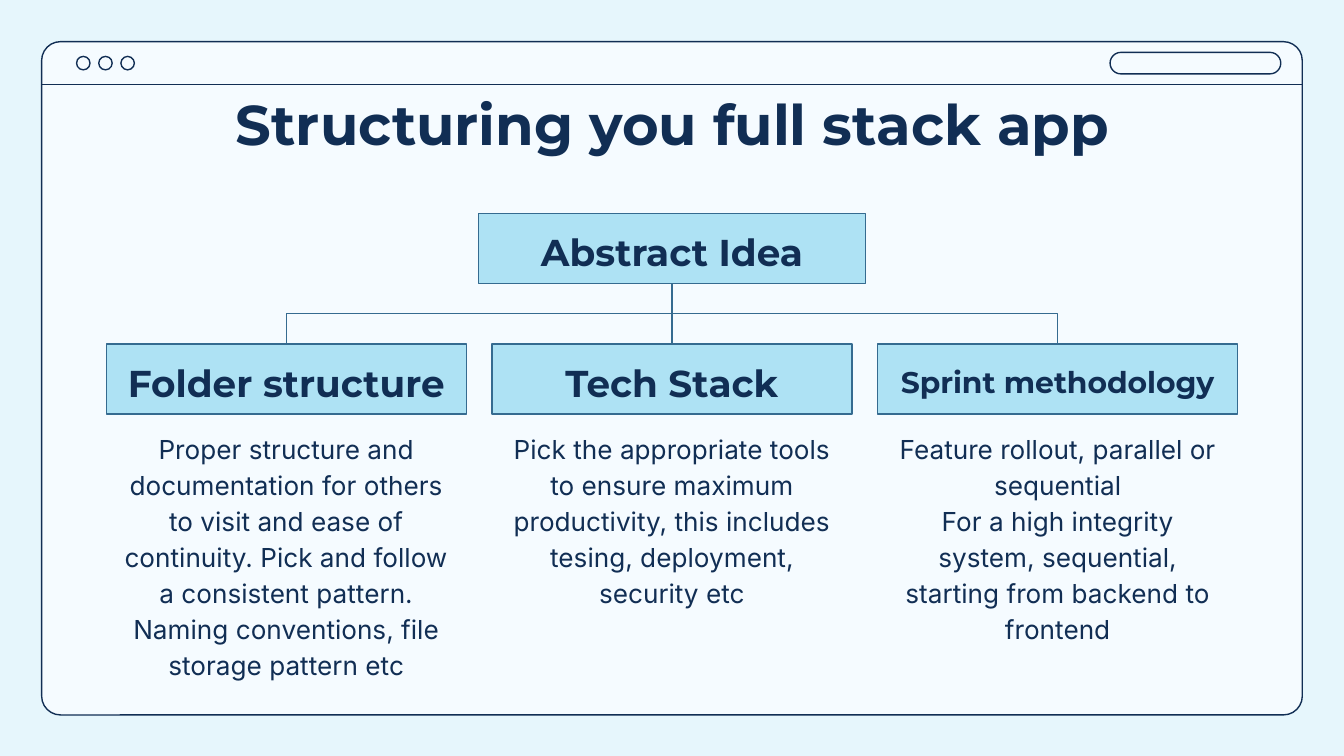
from dataclasses import dataclass
from lxml import etree
from pptx import Presentation
from pptx.dml.color import RGBColor
from pptx.enum.shapes import MSO_CONNECTOR as CONN, MSO_SHAPE as SHAPE
from pptx.enum.text import MSO_ANCHOR as ANCHOR, PP_ALIGN as ALIGN
from pptx.oxml.ns import qn
from pptx.util import Inches, Pt

NAVY = RGBColor(0x11, 0x2E, 0x54)
STEEL = RGBColor(0x35, 0x6B, 0x90)
SKY = RGBColor(0xAE, 0xE2, 0xF4)
PAPER = RGBColor(0xF5, 0xFB, 0xFF)
BACKDROP = RGBColor(0xE6, 0xF6, 0xFC)

CENTER = 5
COLUMN_W, COLUMN_STEP = 2.68, 2.87
ROOT_W, BOX_H = 2.88, 0.52
ROOT_TOP, CHILD_TOP, BODY_TOP = 1.59, 2.56, 3.09
COLUMNS = [
    ("Folder structure", 20, 2.16,
     ["Proper structure and documentation for others to visit and ease of continuity. "
      "Pick and follow a consistent pattern.",
      "Naming conventions, file storage pattern etc"]),
    ("Tech Stack", 20, 1.97,
     ["Pick the appropriate tools to ensure maximum productivity, "
      "this includes tesing, deployment, security etc"]),
    ("Sprint methodology", 16, 1.97,
     ["Feature rollout, parallel or sequential",
      "For a high integrity system, sequential, starting from backend to frontend"]),
]


def write(sp, *lines, size=14, font="Inter", bold=False, spacing=1.15, anchor=ANCHOR.TOP):
    tf = sp.text_frame
    tf.word_wrap = True
    tf.vertical_anchor = anchor
    tf.margin_left = tf.margin_right = tf.margin_top = tf.margin_bottom = Inches(0.1)
    for i, line in enumerate(lines):
        p = tf.add_paragraph() if i else tf.paragraphs[0]
        p.alignment = ALIGN.CENTER
        p.line_spacing = spacing
        r = p.add_run()
        r.text = line
        r.font.size, r.font.name, r.font.bold = Pt(size), font, bold
        r.font.color.rgb = NAVY


@dataclass
class Board:
    """Draws the elements of a browser-window slide in one style."""
    s: object
    heading: str = "Montserrat"
    weight: float = 0.75

    def shape(self, kind, x, y, w, h, fill=None, line=NAVY, radius=None):
        sp = self.s.shapes.add_shape(kind, Inches(x), Inches(y), Inches(w), Inches(h))
        sp.shadow.inherit = False
        if radius is not None:
            sp.adjustments[0] = radius
        if fill is None:
            sp.fill.background()
        else:
            sp.fill.solid()
            sp.fill.fore_color.rgb = fill
        sp.line.color.rgb = line
        sp.line.width = Pt(self.weight)
        return sp

    def connector(self, kind, x1, y1, x2, y2, color):
        c = self.s.shapes.add_connector(kind, Inches(x1), Inches(y1), Inches(x2), Inches(y2))
        c.line.color.rgb = color
        c.line.width = Pt(self.weight)
        etree.SubElement(c._element.spPr, qn("a:effectLst"))
        return c

    def branch(self, x1, y1, x2, y2):
        side = 1 if x2 < x1 else -1
        cx, cy = (x1 + x2) / 2, (y1 + y2) / 2
        dx, dy = side * (y2 - y1) / 2, abs(x2 - x1) / 2
        c = self.connector(CONN.ELBOW, cx - dx, cy - dy, cx + dx, cy + dy, STEEL)
        c._element.spPr.find(qn("a:xfrm")).set("rot", str(side * 90 * 60000))

    def box(self, text, center, y, w, size=20):
        sp = self.shape(SHAPE.RECTANGLE, center - w / 2, y, w, BOX_H, SKY, STEEL)
        write(sp, text, size=size, font=self.heading, bold=True, anchor=ANCHOR.MIDDLE)

    def text(self, x, y, w, h, *lines, **style):
        sp = self.s.shapes.add_textbox(Inches(x), Inches(y), Inches(w), Inches(h))
        write(sp, *lines, **style)

    def window(self):
        self.shape(SHAPE.ROUNDED_RECTANGLE, 0.31, 0.31, 9.38, 5.01, PAPER, radius=0.028)
        for i in range(3):
            self.shape(SHAPE.OVAL, 0.57 + 0.165 * i, 0.42, 0.1, 0.1)
        self.shape(SHAPE.ROUNDED_RECTANGLE, 8.26, 0.39, 1.27, 0.16, radius=0.5)
        self.connector(CONN.STRAIGHT, 0.31, 0.63, 9.69, 0.63, NAVY)


def main():
    prs = Presentation()
    prs.slide_width, prs.slide_height = Inches(10), Inches(5.625)
    s = prs.slides.add_slide(prs.slide_layouts[6])
    s.background.fill.solid()
    s.background.fill.fore_color.rgb = BACKDROP

    board = Board(s)
    board.window()
    board.text(0.79, 0.57, 8.43, 0.63, "Structuring you full stack app",
               size=30, font=board.heading, bold=True, spacing=1.0)
    board.box("Abstract Idea", CENTER, ROOT_TOP, ROOT_W)
    for i, (name, size, body_h, lines) in enumerate(COLUMNS):
        x = CENTER + (i - 1) * COLUMN_STEP
        board.branch(CENTER, ROOT_TOP + BOX_H, x, CHILD_TOP)
        board.box(name, x, CHILD_TOP, COLUMN_W, size)
        board.text(x - COLUMN_W / 2, BODY_TOP, COLUMN_W, body_h, *lines)
    prs.save("out.pptx")


if __name__ == "__main__":
    main()
